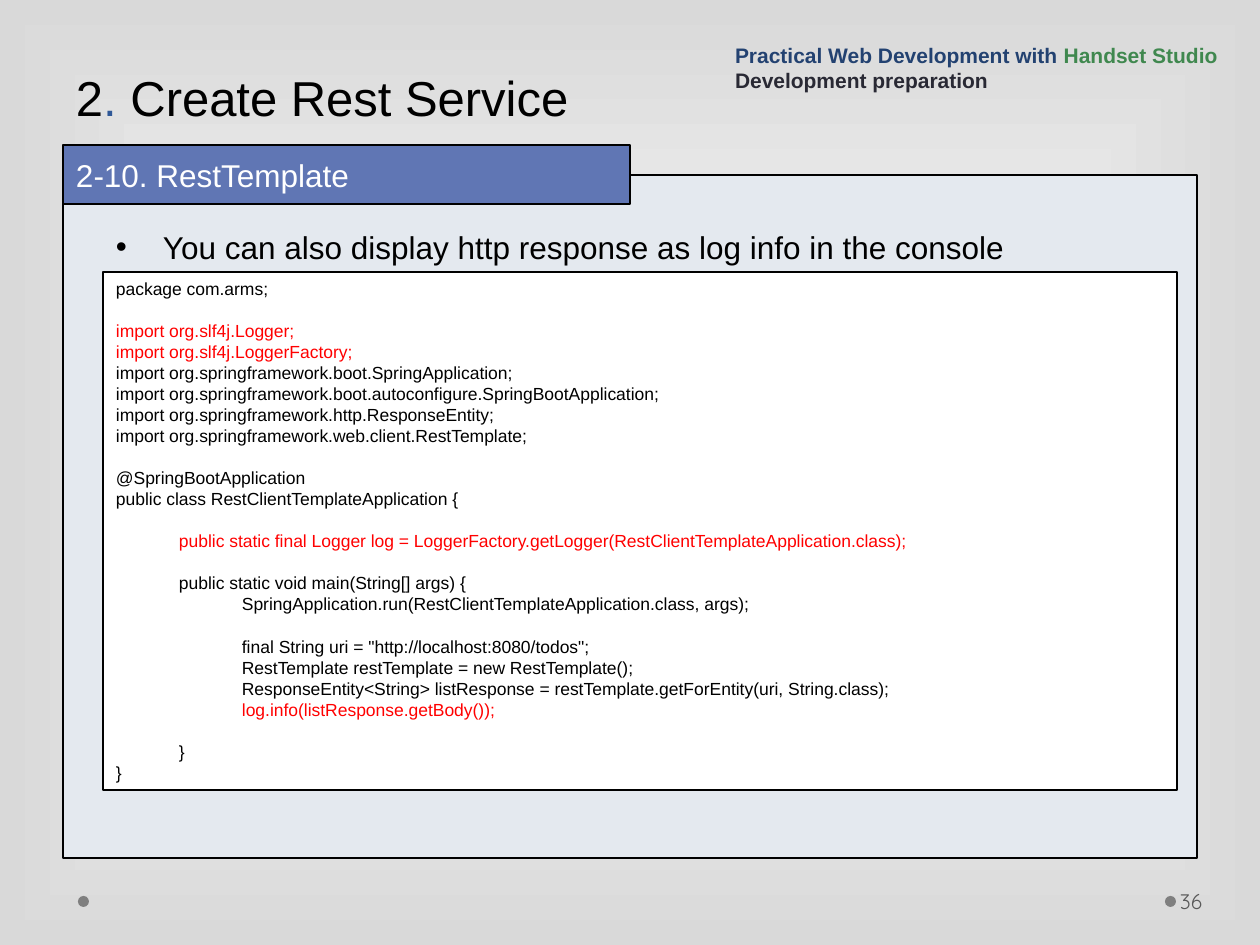
from lxml.etree import SubElement
from pptx import Presentation
from pptx.dml.color import RGBColor
from pptx.enum.shapes import MSO_SHAPE as Kind
from pptx.enum.text import MSO_ANCHOR as Anchor, MSO_AUTO_SIZE as Fit, PP_ALIGN as Align
from pptx.oxml.ns import qn
from pptx.util import Pt

PX = 914400 / 126
BLACK = RGBColor(0x00, 0x00, 0x00)
WHITE = RGBColor(0xFF, 0xFF, 0xFF)
RED = RGBColor(0xFF, 0x00, 0x00)
GRAY = RGBColor(0x7F, 0x7F, 0x7F)
DARK = RGBColor(0x59, 0x59, 0x59)
EDGE = RGBColor(0xD9, 0xD9, 0xD9)
PALE = RGBColor(0xE4, 0xE9, 0xEF)
BLUE = RGBColor(0x60, 0x76, 0xB4)
DOT = RGBColor(0x2F, 0x58, 0x97)
NAVY = RGBColor(0x23, 0x42, 0x71)
GREEN = RGBColor(0x40, 0x88, 0x4F)
INK = RGBColor(0x29, 0x29, 0x34)

# Lines starting with "!" are shown in red
CODE = [
    "package com.arms;",
    "",
    "!import org.slf4j.Logger;",
    "!import org.slf4j.LoggerFactory;",
    "import org.springframework.boot.SpringApplication;",
    "import org.springframework.boot.autoconfigure.SpringBootApplication;",
    "import org.springframework.http.ResponseEntity;",
    "import org.springframework.web.client.RestTemplate;",
    "",
    "@SpringBootApplication",
    "public class RestClientTemplateApplication {",
    "",
    "!\tpublic static final Logger log = LoggerFactory.getLogger(RestClientTemplateApplication.class);",
    "",
    "\tpublic static void main(String[] args) {",
    "\t\tSpringApplication.run(RestClientTemplateApplication.class, args);",
    "",
    "\t\tfinal String uri = \"http://localhost:8080/todos\";",
    "\t\tRestTemplate restTemplate = new RestTemplate();",
    "\t\tResponseEntity<String> listResponse = restTemplate.getForEntity(uri, String.class);",
    "!\t\tlog.info(listResponse.getBody());",
    "",
    "\t}",
    "}",
]


def emu(px):
    return round(px * PX)


def place(shape, box):
    shape.left, shape.top, shape.width, shape.height = map(emu, box)
    return shape


def paint(shape, fill, line=None):
    shape.fill.solid()
    shape.fill.fore_color.rgb = fill
    if line is None:
        shape.line.fill.background()
    else:
        shape.line.color.rgb = line
        shape.line.width = Pt(0.75)


def add_box(slide, kind, box, fill, line=None):
    shape = slide.shapes.add_shape(kind, *map(emu, box))
    shape.shadow.inherit = False
    paint(shape, fill, line)
    return shape


def add_label(slide, box):
    return slide.shapes.add_textbox(*map(emu, box))


def write(shape, lines, size, font="Arial", bold=False, anchor=Anchor.TOP,
          inset=13, hang=0, bullet=None, tabs=()):
    """Fill a shape; each line is a list of (text, colour) runs."""
    frame = shape.text_frame
    frame.word_wrap = True
    frame.auto_size = Fit.NONE
    frame.vertical_anchor = anchor
    frame.margin_left, frame.margin_right = emu(inset), emu(13)
    frame.margin_top = frame.margin_bottom = emu(6)
    for i, runs in enumerate(lines):
        para = frame.add_paragraph() if i else frame.paragraphs[0]
        para.alignment = Align.LEFT
        para.space_before = Pt(0)
        props = para._p.get_or_add_pPr()
        props.set("marL", str(emu(hang)))
        props.set("indent", str(-emu(hang)))
        if bullet:
            SubElement(props, qn("a:buFont"), typeface=font)
            SubElement(props, qn("a:buChar"), char=bullet)
        else:
            SubElement(props, qn("a:buNone"))
        if tabs:
            stops = SubElement(props, qn("a:tabLst"))
            for tab in tabs:
                SubElement(stops, qn("a:tab"), pos=str(emu(tab)), algn="l")
        for text, color in runs:
            run = para.add_run()
            run.text = text
            run.font.size, run.font.name, run.font.bold = Pt(size), font, bold
            run.font.color.rgb = color
        if not runs:
            SubElement(para._p, qn("a:endParaRPr"), sz=str(size * 100))


def set_back(slide):
    fill = slide.background.fill
    fill.gradient()
    for stop, color in zip(fill.gradient_stops, (WHITE, EDGE)):
        stop.color.rgb = color
    grad = slide._element.find(".//" + qn("p:bgPr") + "/" + qn("a:gradFill"))
    grad.remove(grad.find(qn("a:lin")))
    shade = SubElement(grad, qn("a:path"), {"path": "rect"})
    SubElement(shade, qn("a:fillToRect"), {side: "50000" for side in "ltrb"})


def add_head(slide, box):
    x, y, w, h = box
    title = place(slide.shapes.title, (x, y, 1134, h))
    write(title, [[("2", BLACK), (". ", DOT), ("Create Rest Service", BLACK)]],
          28, anchor=Anchor.BOTTOM)
    course = add_label(slide, (x + w - 538, y + 30, 538, 69))
    write(course, [[("Practical Web Development with ", NAVY), ("Handset Studio", GREEN)],
                   [("Development preparation", INK)]],
          12, bold=True, anchor=Anchor.BOTTOM)


def add_main(slide, box):
    x, y, w, h = box
    # Panel goes behind the placeholders
    panel = add_box(slide, Kind.RECTANGLE, (x, y + 30, w, h - 30), PALE, BLACK)
    slide.shapes._spTree.insert(2, panel._element)
    # Section tab
    tab = place(slide.placeholders[1], (x, y, w // 2, 59))
    paint(tab, BLUE, BLACK)
    write(tab, [[("2-10. RestTemplate", WHITE)]], 18, anchor=Anchor.MIDDLE)
    # Point and code listing
    point = add_label(slide, (x + 40, y + 77, 1074, 50))
    write(point, [[("You can also display http response as log info in the console", BLACK)]],
          18, hang=47, bullet="•")
    lines = [[(line.lstrip("!"), RED if line[0] == "!" else BLACK)] if line else []
             for line in CODE]
    code = add_box(slide, Kind.RECTANGLE, (x + 40, y + 127, 1074, 518), WHITE, BLACK)
    write(code, lines, 10, tabs=(63, 126))


def add_foot(slide, box):
    x, y, w, h = box
    for left in (x, x + w - 99):
        add_box(slide, Kind.OVAL, (left, y + 20, 11, 11), GRAY)
    page = add_label(slide, (x + w - 88, y, 77, h))
    write(page, [[("36", DARK)]], 12, font="Quicksand", anchor=Anchor.MIDDLE, inset=4)


def main():
    deck = Presentation()
    deck.slide_width, deck.slide_height = emu(1260), emu(945)
    slide = deck.slides.add_slide(deck.slide_layouts[1])
    set_back(slide)
    add_head(slide, (63, 0, 1197, 132))
    add_main(slide, (63, 145, 1134, 713))
    add_foot(slide, (78, 876, 1186, 50))
    deck.save("out.pptx")


if __name__ == "__main__":
    main()
